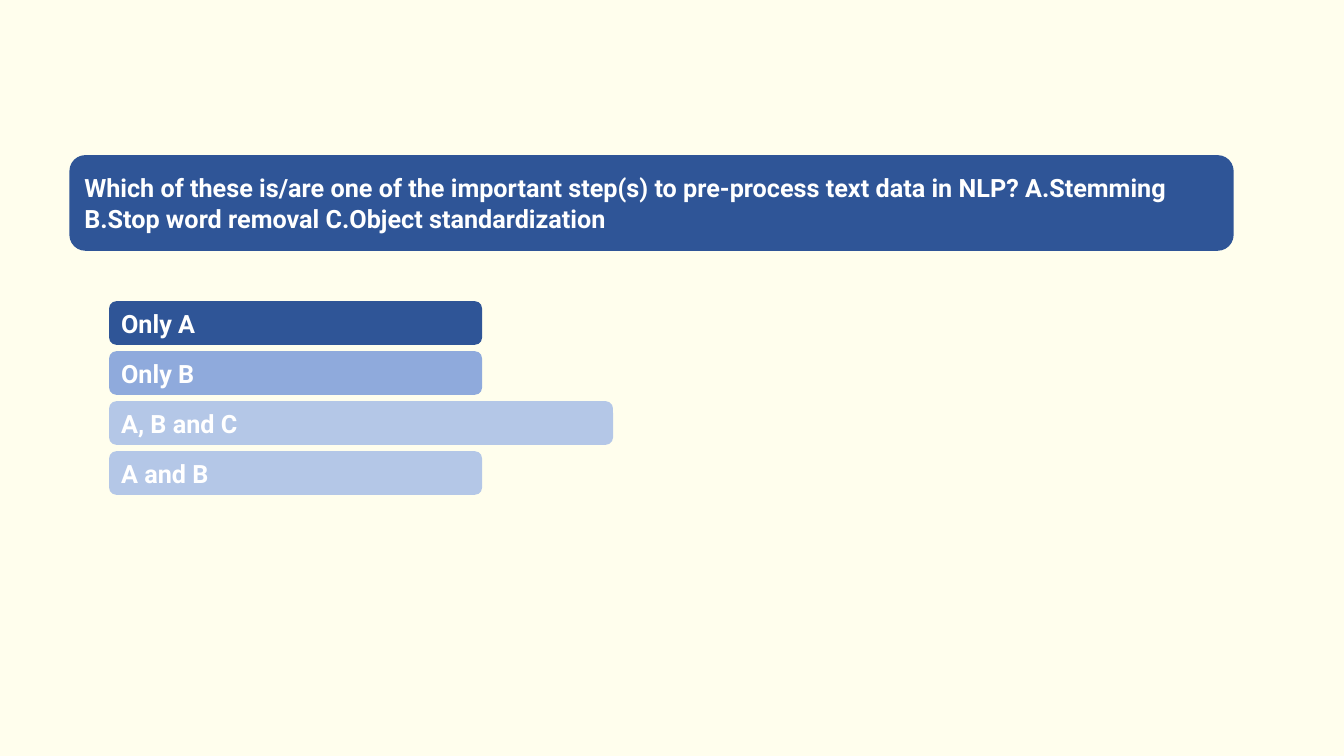
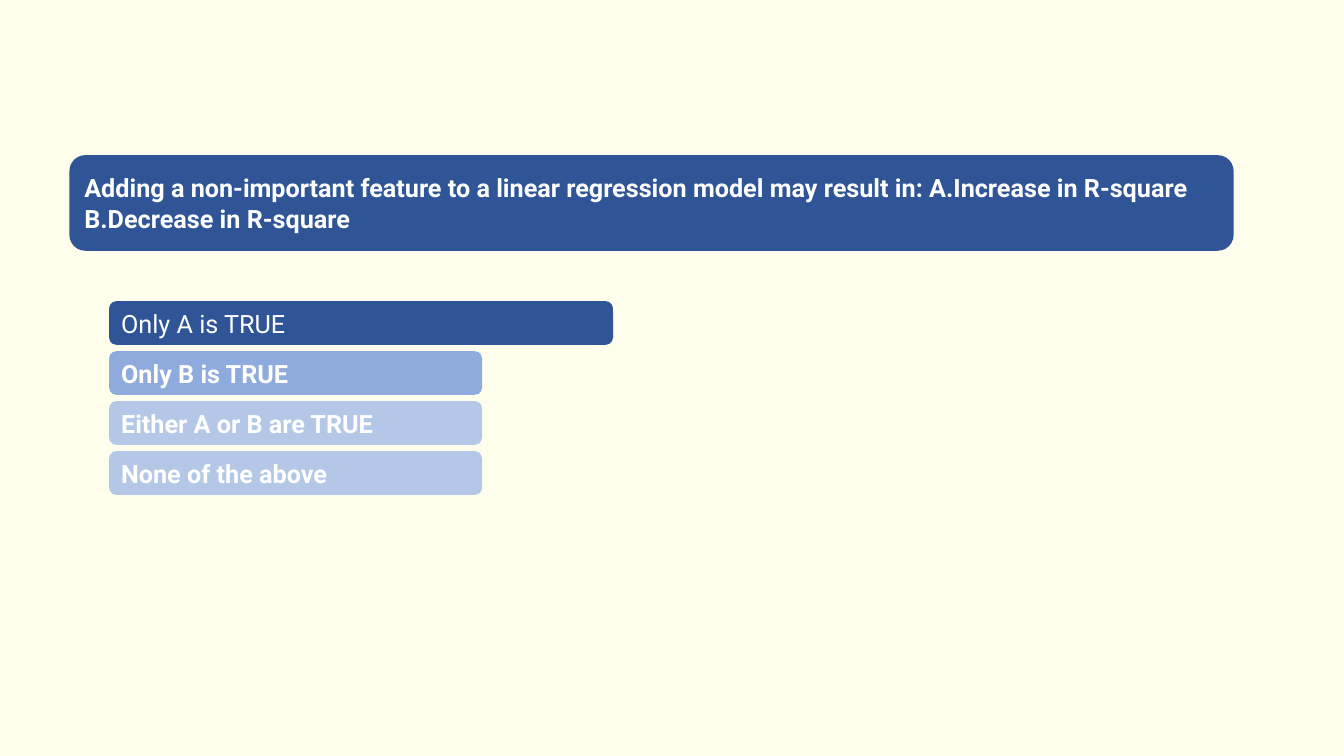
"""Build two multiple-choice quiz slides with the widest bar on one option."""
import pptx
import pptx.util
import pptx.dml.color
import pptx.enum.shapes
import pptx.enum.text

Cm = pptx.util.Cm
NAVY, WHITE, CREAM = "2F5597", "FFFFFF", "FFFEED"
OPTION_FILLS = [NAVY, "8FAADC", "B4C7E7", "B4C7E7"]
OPTION_TOP, OPTION_PITCH = 7.59, 1.26
NARROW, WIDE = 9.4, 12.7

QUIZ = [
    {
        "question": "Which of these is/are one of the important step(s) to pre-process "
                    "text data in NLP? A.Stemming B.Stop word removal C.Object standardization",
        "options": [("Only A", NARROW, True), ("Only B", NARROW, True),
                    ("A, B and C", WIDE, True), ("A and B", NARROW, True)],
    },
    {
        "question": "Adding a non-important feature to a linear regression model may "
                    "result in: A.Increase in R-square B.Decrease in R-square",
        "options": [("Only A is TRUE", WIDE, False), ("Only B is TRUE", NARROW, True),
                    ("Either A or B are TRUE", NARROW, True),
                    ("None of the above", NARROW, True)],
    },
]


def paint(fill, color):
    fill.solid()
    fill.fore_color.rgb = pptx.dml.color.RGBColor.from_string(color)


def write(box, text, bold):
    frame = box.text_frame
    frame.word_wrap = True
    frame.auto_size = pptx.enum.text.MSO_AUTO_SIZE.NONE
    frame.vertical_anchor = pptx.enum.text.MSO_ANCHOR.MIDDLE
    para = frame.paragraphs[0]
    para.alignment = pptx.enum.text.PP_ALIGN.LEFT
    span = para.add_run()
    span.text = text
    span.font.name = "Roboto"
    span.font.size = pptx.util.Pt(18)
    span.font.bold = bold
    paint(span.font.fill, WHITE)


deck = pptx.Presentation()
deck.slide_width, deck.slide_height = Cm(33.87), Cm(19.05)
paint(deck.slide_master.background.fill, CREAM)
title_only = deck.slide_layouts.get_by_name("Title Only")

for quiz in QUIZ:
    page = deck.slides.add_slide(title_only)
    bars = [(1.75, 3.91, 29.34, 2.41, NAVY)]
    for row, (label, width, bold) in enumerate(quiz["options"]):
        bars.append((2.75, OPTION_TOP + row * OPTION_PITCH, width, 1.1, OPTION_FILLS[row]))

    boxes = []
    for left, top, width, height, color in bars:
        box = page.shapes.add_shape(pptx.enum.shapes.MSO_SHAPE.ROUNDED_RECTANGLE,
                                    Cm(left), Cm(top), Cm(width), Cm(height))
        box.shadow.inherit = False
        box.line.fill.background()
        paint(box.fill, color)
        boxes.append(box)

    band, *option_boxes = boxes
    title = page.shapes.title
    title.left, title.top = band.left + Cm(0.12), band.top
    title.width, title.height = band.width - Cm(0.24), band.height
    page.shapes.element.append(title.element)
    write(title, quiz["question"], True)
    for box, (label, width, bold) in zip(option_boxes, quiz["options"]):
        write(box, label, bold)

deck.save("out.pptx")
